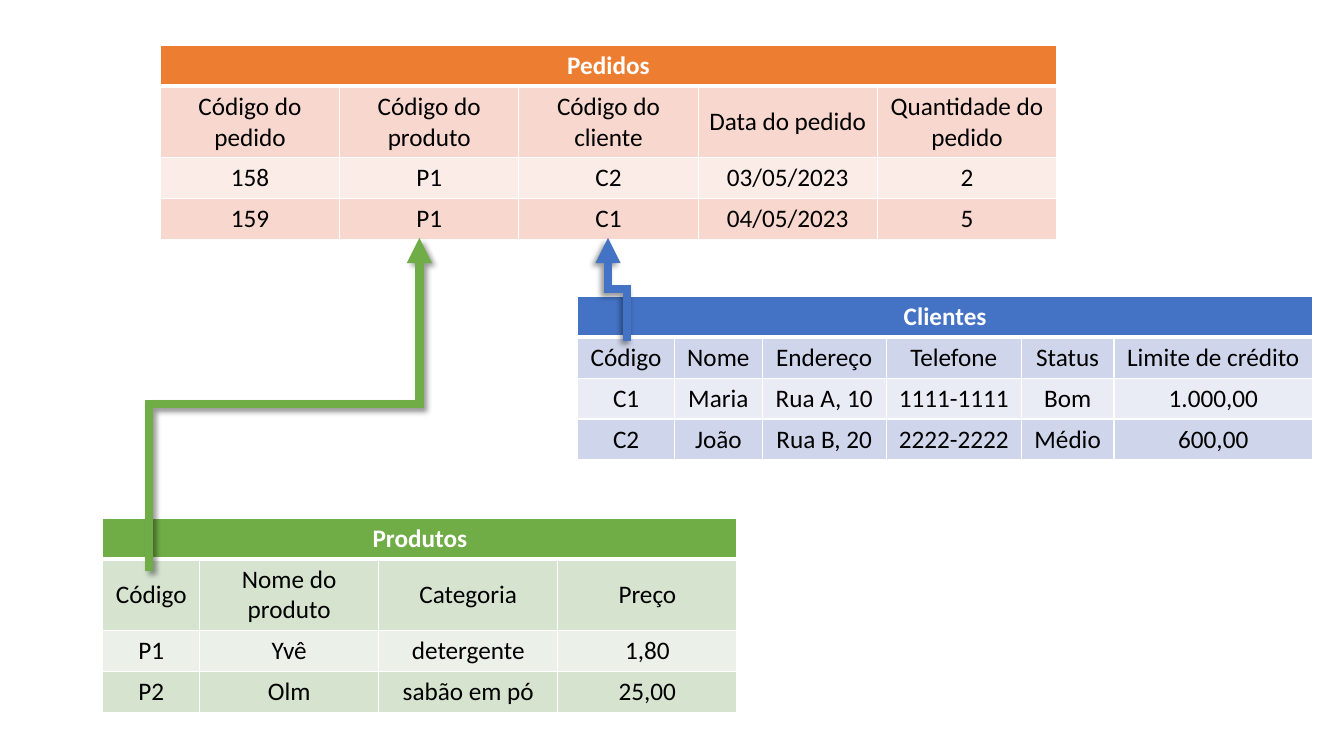
from pptx import Presentation
from pptx.dml.color import RGBColor
from pptx.enum.shapes import MSO_CONNECTOR
from pptx.enum.text import MSO_ANCHOR, PP_ALIGN
from pptx.oxml import parse_xml
from pptx.oxml.ns import nsdecls
from pptx.util import Inches, Pt

HUES = {
    "white": "FFFFFF", "black": "000000",
    "green": "70AD47", "green_mid": "D5E3CF", "green_pale": "EBF1E9",
    "blue": "4472C4", "blue_mid": "CFD5EA", "blue_pale": "E9EBF5",
    "orange": "ED7D31", "orange_mid": "F8D7CE", "orange_pale": "FCECE8",
}

prs = Presentation()
prs.slide_width, prs.slide_height = Inches(13.33), Inches(7.5)
slide = prs.slides.add_slide(prs.slide_layouts[6])


def fill_cell(cell, text, fill, ink, bold, base):
    """Format one cell; base is the width of its bottom border in points."""
    props = cell._tc.get_or_add_tcPr()
    for side in "LRTB":
        width = Pt(base if side == "B" else 1)
        props.append(parse_xml(
            f'<a:ln{side} {nsdecls("a")} w="{width}"><a:solidFill>'
            f'<a:srgbClr val="{HUES["white"]}"/></a:solidFill></a:ln{side}>'))
    cell.fill.solid()
    cell.fill.fore_color.rgb = RGBColor.from_string(HUES[fill])
    cell.vertical_anchor = MSO_ANCHOR.MIDDLE
    para = cell.text_frame.paragraphs[0]
    para.alignment = PP_ALIGN.CENTER
    run = para.add_run()
    run.text = text
    run.font.name, run.font.size, run.font.bold = "Calibri", Pt(18), bold
    run.font.color.rgb = RGBColor.from_string(HUES[ink])


# Tables: title, hue, left, top, column widths, height of field row, rows
low = 1.62 / 4
tables = [
    ("Produtos", "green", 1.02, 5.14, [0.96] + [5.33 / 3] * 3, 0.7, [
        ["Código", "Nome do produto", "Categoria", "Preço"],
        ["P1", "Yvê", "detergente", "1,80"],
        ["P2", "Olm", "sabão em pó", "25,00"]]),
    ("Clientes", "blue", 5.73, 2.94, [0.96, 0.87, 1.23, 1.34, 0.92, 1.97], low, [
        ["Código", "Nome", "Endereço", "Telefone", "Status", "Limite de crédito"],
        ["C1", "Maria", "Rua A, 10", "1111-1111", "Bom", "1.000,00"],
        ["C2", "João", "Rua B, 20", "2222-2222", "Médio", "600,00"]]),
    ("Pedidos", "orange", 1.59, 0.45, [8.89 / 5] * 5, 0.7, [
        ["Código do pedido", "Código do produto", "Código do cliente",
         "Data do pedido", "Quantidade do pedido"],
        ["158", "P1", "C2", "03/05/2023", "2"],
        ["159", "P1", "C1", "04/05/2023", "5"]]),
]
for title, hue, left, top, widths, tall, rows in tables:
    highs = [low, tall, low, low]
    frame = slide.shapes.add_table(
        len(highs), len(widths), Inches(left), Inches(top),
        Inches(sum(widths)), Inches(sum(highs)))
    table = frame.table
    for col, width in zip(table.columns, widths):
        col.width = Inches(width)
    for row, high in zip(table.rows, highs):
        row.height = Inches(high)

    # Title row across all columns
    head = table.cell(0, 0)
    head.merge(table.cell(0, len(widths) - 1))
    fill_cell(head, title, hue, "white", True, 3)

    # Field names and records in alternating tints
    for r, row in enumerate(rows, 1):
        tint = hue + ("_mid" if r % 2 else "_pale")
        for c, text in enumerate(row):
            fill_cell(table.cell(r, c), text, tint, "black", False, 1)

# Key links: hue, start x and y, end x and y, shadow angle
links = [
    ("blue", 6.22, 3.38, 6.03, 2.36, 135),
    ("green", 1.48, 5.66, 4.16, 2.36, 45),
]
for hue, x1, y1, x2, y2, angle in links:
    # Lay the elbow flat about its centre, then turn it to run upwards
    mid_x, mid_y = (x1 + x2) / 2, (y1 + y2) / 2
    half_w, half_h = (y1 - y2) / 2, (x2 - x1) / 2
    link = slide.shapes.add_connector(
        MSO_CONNECTOR.ELBOW,
        Inches(mid_x - half_w), Inches(mid_y - half_h),
        Inches(mid_x + half_w), Inches(mid_y + half_h))
    props = link._element.spPr
    props.xfrm.set("rot", str(270 * 60000))
    link.line.width = Pt(6)
    link.line.color.rgb = RGBColor.from_string(HUES[hue])
    line = link.line._get_or_add_ln()
    line.append(parse_xml(f'<a:miter {nsdecls("a")} lim="800000"/>'))
    line.append(parse_xml(f'<a:tailEnd {nsdecls("a")} type="triangle"/>'))
    props.append(parse_xml(
        f'<a:effectLst {nsdecls("a")}><a:outerShdw blurRad="{Pt(4)}" dist="{Pt(3)}" '
        f'dir="{angle * 60000}" rotWithShape="0"><a:srgbClr val="{HUES["black"]}">'
        '<a:alpha val="40000"/></a:srgbClr></a:outerShdw></a:effectLst>'))

prs.save("out.pptx")
